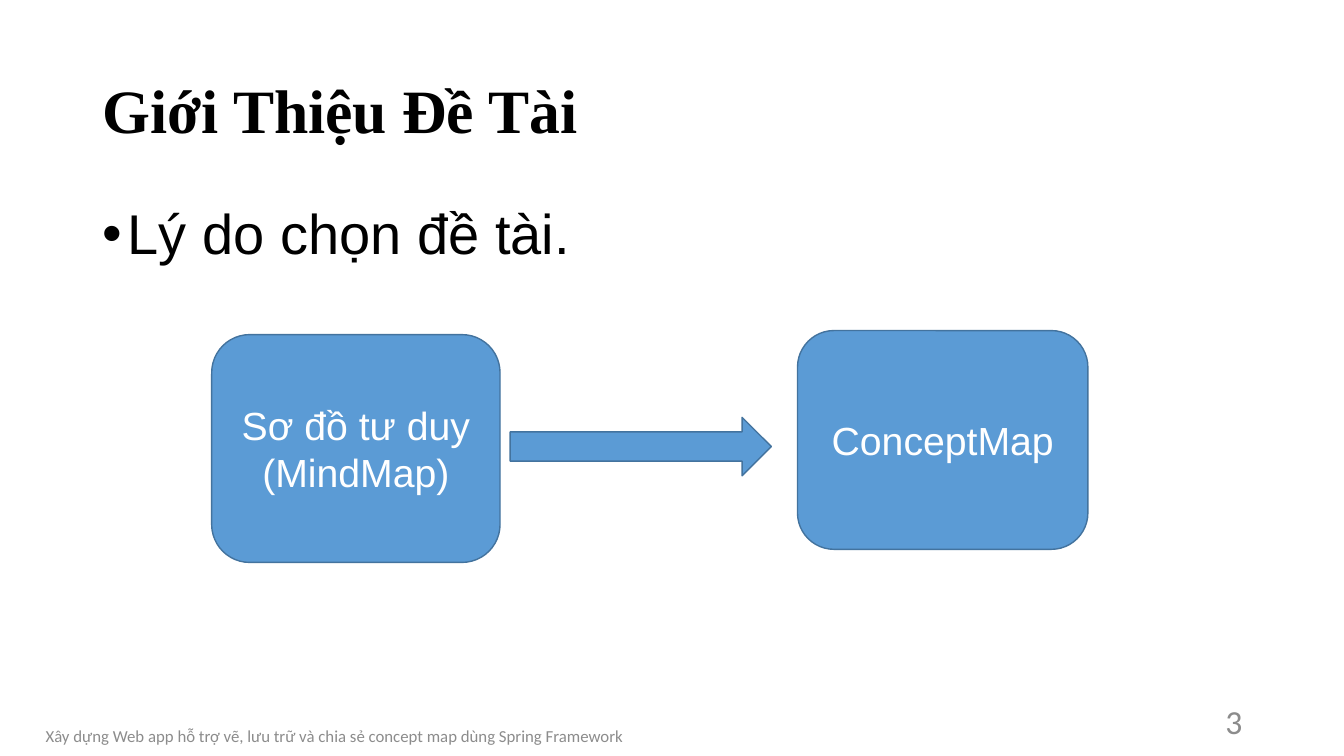
from lxml.etree import SubElement
from pptx import Presentation
from pptx.dml.color import RGBColor
from pptx.enum.shapes import MSO_SHAPE
from pptx.enum.text import MSO_ANCHOR, PP_ALIGN
from pptx.oxml.ns import qn
from pptx.util import Inches, Pt


def rgb(color):
    return RGBColor.from_string(color)


def write(s, text, size, font="Arial", color="000000", bold=False,
          align=PP_ALIGN.LEFT, anchor=MSO_ANCHOR.MIDDLE, spacing=1.0, before=0, bullet=None):
    tf = s.text_frame
    tf.word_wrap = True
    tf.vertical_anchor = anchor
    for i, line in enumerate(text.split("\n")):
        p = tf.add_paragraph() if i else tf.paragraphs[0]
        p.alignment = align
        p.line_spacing = spacing
        p.space_before = Pt(before)
        if bullet:
            pPr = p._p.get_or_add_pPr()
            pPr.set("marL", str(Inches(0.25)))
            pPr.set("indent", str(-Inches(0.25)))
            SubElement(pPr, qn("a:buFont"), typeface="Arial")
            SubElement(pPr, qn("a:buChar"), char=bullet)
        r = p.add_run()
        r.text = line
        r.font.size = Pt(size)
        r.font.name = font
        r.font.bold = bold
        r.font.color.rgb = rgb(color)


prs = Presentation()
prs.slide_width = Inches(13.33)
prs.slide_height = Inches(7.5)
slide = prs.slides.add_slide(prs.slide_layouts[6])

GRAY = "8C8C8C"
MARGIN, CONTENT = 0.92, 11.5
texts = [
    ((MARGIN, 0.4, CONTENT, 1.45), "Giới Thiệu Đề Tài",
     dict(size=44, font="Times New Roman", bold=True, spacing=0.9)),
    ((MARGIN, 2, CONTENT, 4.76), "Lý do chọn đề tài.",
     dict(size=40, anchor=MSO_ANCHOR.TOP, spacing=0.9, before=10, bullet="•")),
    ((MARGIN + CONTENT - 3, 6.95, 3, 0.4), "3",
     dict(size=24, font="Calibri", color=GRAY, align=PP_ALIGN.RIGHT)),
    ((0.01, 7.1, 6.62, 0.4),
     "Xây dựng Web app hỗ trợ vẽ, lưu trữ và chia sẻ concept map dùng Spring Framework",
     dict(size=12, font="Calibri", color=GRAY, align=PP_ALIGN.CENTER)),
]
for box, text, style in texts:
    write(slide.shapes.add_textbox(*map(Inches, box)), text, **style)

BOX = MSO_SHAPE.FLOWCHART_ALTERNATE_PROCESS
shapes = [
    (BOX, (2.1, 3.32, 2.86, 2.26), "Sơ đồ tư duy\n(MindMap)"),
    (BOX, (7.91, 3.28, 2.88, 2.17), "ConceptMap"),
    (MSO_SHAPE.RIGHT_ARROW, (5.06, 4.14, 2.59, 0.58), None),
]
for kind, box, text in shapes:
    s = slide.shapes.add_shape(kind, *map(Inches, box))
    s.shadow.inherit = False
    s.fill.solid()
    s.fill.fore_color.rgb = rgb("5B9BD5")
    s.line.color.rgb = rgb("43739E")
    s.line.width = Pt(1)
    if text:
        write(s, text, size=28, color="FFFFFF", align=PP_ALIGN.CENTER)

prs.save("out.pptx")
